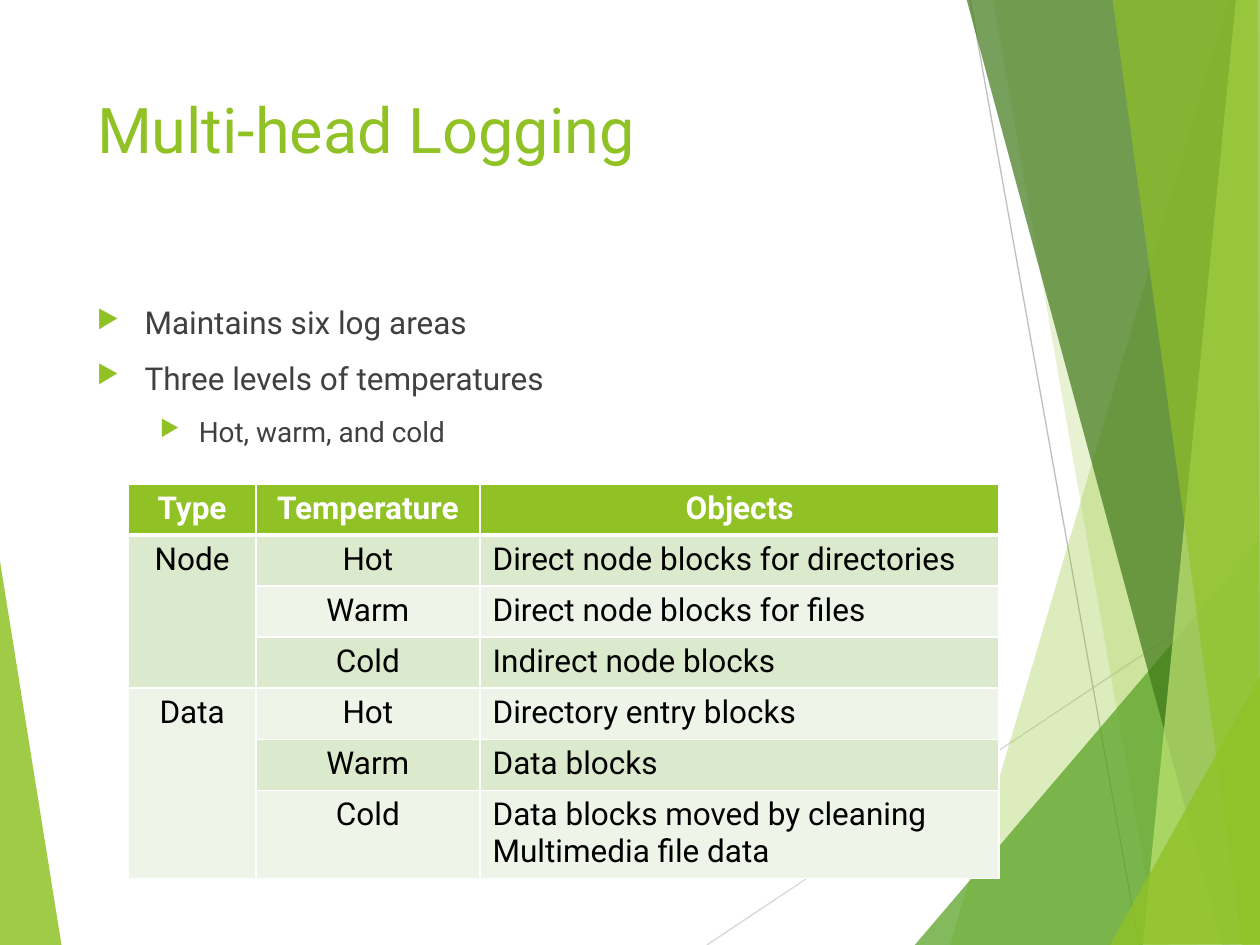
from dataclasses import dataclass
from typing import Any

from lxml import etree
from pptx import Presentation
from pptx.dml.color import RGBColor
from pptx.enum import shapes, text
from pptx.oxml import ns
from pptx.util import Emu, Inches, Pt


@dataclass(frozen=True)
class Theme:
    font: str = "Roboto"
    green: str = "90C226"
    forest: str = "54A021"
    dark_green: str = "3F7819"
    lime: str = "C0E474"
    body: str = "404040"
    white: str = "FFFFFF"
    black: str = "000000"
    band_dark: str = "DBE9CD"
    band_light: str = "EEF4E8"
    title_size: int = 36
    text_size: int = 18
    detail_size: int = 16


THEME = Theme()


@dataclass(frozen=True)
class Facet:
    points: tuple[tuple[float, float], ...]
    color: str
    opacity: int


@dataclass(frozen=True)
class Ray:
    start: tuple[float, float]
    end: tuple[float, float]
    color: str


@dataclass(frozen=True)
class Bullet:
    words: str
    level: int
    size: int
    left: float
    hanging: float


@dataclass(frozen=True)
class LogArea:
    temperature: str
    objects: str


LEFT_FACET = Facet(((-0.01, 4.39), (0.49, 7.51), (-0.01, 7.5)), THEME.green, 85)
RAYS = (
    Ray((5.61, 7.5), (10.01, 4.57), "D9D9D9"),
    Ray((7.7, 0), (9.04, 7.5), "BFBFBF"),
)
RIGHT_FACETS = (
    Facet(((9.75, 0), (7.54, 7.5), (10.02, 7.51), (10.01, 0.01)), THEME.green, 30),
    Facet(((7.88, -0.01), (9.19, 7.5), (10.01, 7.5), (10.01, -0.01)), THEME.green, 20),
    Facet(((7.26, 7.5), (10, 4.29), (10.01, 7.5)), THEME.forest, 72),
    Facet(((7.67, -0.01), (9.7, 7.5), (10.01, 7.49), (10.01, -0.01)), THEME.dark_green, 70),
    Facet(((9.81, -0.01), (9.07, 7.5), (10.01, 7.5), (10, -0.01)), THEME.lime, 70),
    Facet(((8.83, -0.01), (9.86, 7.5), (10, 7.5), (9.98, -0.01)), THEME.green, 65),
    Facet(((8.81, 7.5), (10.01, 5.35), (10.01, 7.49)), THEME.green, 80),
)
BULLETS = (
    Bullet("Maintains six log areas", 0, THEME.text_size, 0.38, 0.38),
    Bullet("Three levels of temperatures", 0, THEME.text_size, 0.38, 0.38),
    Bullet("Hot, warm, and cold", 1, THEME.detail_size, 0.81, 0.31),
)
HEADINGS = ("Type", "Temperature", "Objects")
COLUMN_WIDTHS = (1.01, 1.78, 4.12)
LOG_AREAS = {
    "Node": (
        LogArea("Hot", "Direct node blocks for directories"),
        LogArea("Warm", "Direct node blocks for files"),
        LogArea("Cold", "Indirect node blocks"),
    ),
    "Data": (
        LogArea("Hot", "Directory entry blocks"),
        LogArea("Warm", "Data blocks"),
        LogArea("Cold", "Data blocks moved by cleaning\nMultimedia file data"),
    ),
}


def apply_format(target: Any, values: dict[str, Any]) -> None:
    for name, value in values.items():
        setattr(target, name, value)


def add_element(parent: Any, tag: str, **attributes: str) -> Any:
    return etree.SubElement(parent, ns.qn(tag), attributes)


def format_font(font: Any, size: int, color: str, bold: bool = False) -> None:
    apply_format(font, {"name": THEME.font, "size": Pt(size), "bold": bold})
    font.color.rgb = RGBColor.from_string(color)


def draw_facet(slide: Any, facet: Facet) -> None:
    start, *rest = [(Inches(x), Inches(y)) for x, y in facet.points]
    builder = slide.shapes.build_freeform(*start)
    builder.add_line_segments(rest, close=True)
    shape = builder.convert_to_shape()
    shape.shadow.inherit = False
    shape.line.fill.background()
    shape.fill.solid()
    shape.fill.fore_color.rgb = RGBColor.from_string(facet.color)
    color = shape.element.spPr.find(ns.qn("a:solidFill"))[0]
    add_element(color, "a:alpha", val=str(facet.opacity * 1000))


def draw_ray(slide: Any, ray: Ray) -> None:
    ends = [Inches(value) for value in ray.start + ray.end]
    connector = slide.shapes.add_connector(shapes.MSO_CONNECTOR.STRAIGHT, *ends)
    connector.line.width = Pt(0.75)
    connector.line.color.rgb = RGBColor.from_string(ray.color)
    add_element(connector.element.spPr, "a:effectLst")


def draw_title(slide: Any, words: str) -> None:
    title = slide.shapes.title
    apply_format(title, {"left": Inches(0.67), "top": Inches(0.67),
                         "width": Inches(6.94), "height": Inches(1.44)})
    title.text_frame.text = words
    title.text_frame.vertical_anchor = text.MSO_ANCHOR.TOP
    paragraph = title.text_frame.paragraphs[0]
    paragraph.alignment = text.PP_ALIGN.LEFT
    format_font(paragraph.font, THEME.title_size, THEME.green)


def draw_bullets(slide: Any, bullets: tuple[Bullet, ...]) -> None:
    box = slide.shapes.add_textbox(Inches(0.67), Inches(2.36), Inches(6.94), Inches(4.24))
    frame = box.text_frame
    frame.word_wrap = True
    for index, bullet in enumerate(bullets):
        paragraph = frame.add_paragraph() if index else frame.paragraphs[0]
        properties = paragraph._p.get_or_add_pPr()
        properties.set("marL", str(Inches(bullet.left)))
        properties.set("indent", str(-Inches(bullet.hanging)))
        add_element(add_element(properties, "a:buClr"), "a:srgbClr", val=THEME.green)
        add_element(properties, "a:buSzPct", val="80000")
        add_element(properties, "a:buChar", char="▶")
        apply_format(paragraph, {"text": bullet.words, "level": bullet.level,
                                 "space_before": Pt(10 if index else 0)})
        format_font(paragraph.font, bullet.size, THEME.body)


def format_cell(cell: Any, fill: str, centered: bool, heading: bool) -> None:
    properties = cell._tc.get_or_add_tcPr()
    for side in "LRTB":
        width = 3 if heading and side == "B" else 1
        border = add_element(properties, f"a:ln{side}", w=str(Pt(width)))
        add_element(add_element(border, "a:solidFill"), "a:srgbClr", val=THEME.white)
    cell.fill.solid()
    cell.fill.fore_color.rgb = RGBColor.from_string(fill)
    for paragraph in cell.text_frame.paragraphs:
        paragraph.alignment = text.PP_ALIGN.CENTER if centered else text.PP_ALIGN.LEFT
        color = THEME.white if heading else THEME.black
        format_font(paragraph.font, THEME.text_size, color, heading)


def draw_table(slide: Any) -> None:
    rows = [HEADINGS]
    for kind, areas in LOG_AREAS.items():
        for index, area in enumerate(areas):
            rows.append(("" if index else kind, area.temperature, area.objects))
    table = slide.shapes.add_table(len(rows), len(HEADINGS), Inches(1.02), Inches(3.84),
                                   Inches(sum(COLUMN_WIDTHS)), Inches(2.84)).table
    for column, width in zip(table.columns, COLUMN_WIDTHS):
        column.width = Inches(width)
    for row, values in enumerate(rows):
        band = THEME.band_dark if row % 2 else THEME.band_light
        for column, words in enumerate(values):
            cell = table.cell(row, column)
            cell.text = words
            heading = row == 0
            format_cell(cell, THEME.green if heading else band, heading or column < 2, heading)
    first = 1
    for areas in LOG_AREAS.values():
        last = first + len(areas) - 1
        table.cell(first, 0).merge(table.cell(last, 0))
        first = last + 1


def main() -> None:
    presentation = Presentation()
    apply_format(presentation, {"slide_width": Inches(10), "slide_height": Inches(7.5)})
    slide = presentation.slides.add_slide(presentation.slide_layouts.get_by_name("Title Only"))
    draw_facet(slide, LEFT_FACET)
    for ray in RAYS:
        draw_ray(slide, ray)
    for facet in RIGHT_FACETS:
        draw_facet(slide, facet)
    draw_title(slide, "Multi-head Logging")
    draw_bullets(slide, BULLETS)
    draw_table(slide)
    presentation.save("out.pptx")


if __name__ == "__main__":
    main()
